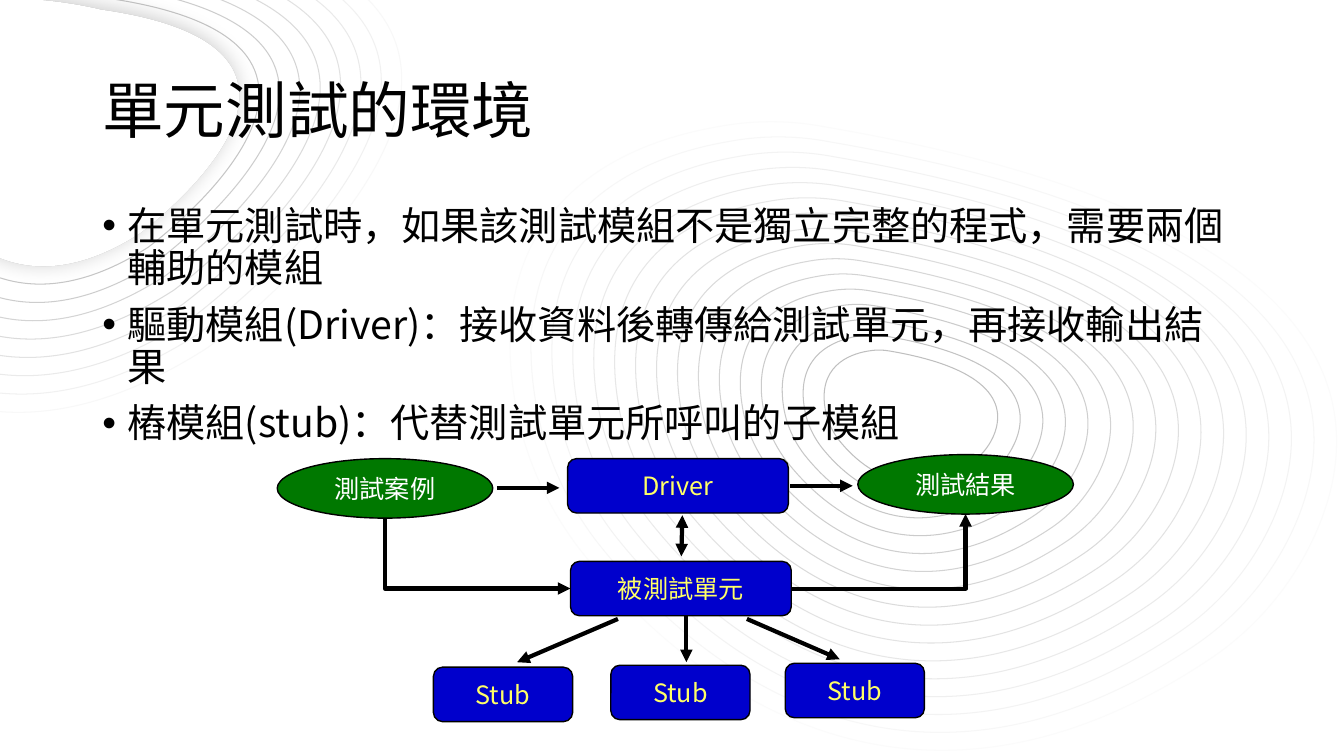
from dataclasses import dataclass

from lxml import etree
from pptx import Presentation
from pptx.dml.color import RGBColor
from pptx.enum.shapes import MSO_CONNECTOR, MSO_SHAPE
from pptx.enum.text import MSO_ANCHOR, PP_ALIGN
from pptx.oxml.ns import qn
from pptx.util import Pt

STRAIGHT, ELBOW = MSO_CONNECTOR.STRAIGHT, MSO_CONNECTOR.ELBOW
BOX, OVAL = MSO_SHAPE.ROUNDED_RECTANGLE, MSO_SHAPE.OVAL
MIDDLE, TOP = MSO_ANCHOR.MIDDLE, MSO_ANCHOR.TOP
CENTER = PP_ALIGN.CENTER
LEFT, RIGHT = 1, 3


@dataclass(frozen=True)
class Theme:
    font: str = "Noto Sans CJK SC"
    ink: str = "000000"
    paper: str = "FFFFFF"
    blue: str = "0000CC"
    green: str = "007800"
    yellow: str = "FFFF66"
    title: float = 44
    body: float = 28
    label: float = 18
    thin: float = 0.75
    edge: float = 1
    arrow: float = 3


THEME = Theme()
TITLE = "單元測試的環境"
POINTS = [
    "在單元測試時，如果該測試模組不是獨立完整的程式，需要兩個輔助的模組",
    "驅動模組(Driver)：接收資料後轉傳給測試單元，再接收輸出結果",
    "樁模組(stub)：代替測試單元所呼叫的子模組",
]

# Outermost contours: a start point, then three Bezier points per curve
CORNER_MID = (49.4, 80.9)
CORNER = [
    (93.6, -63.4), (93.6, -63.4), (-259.2, -154), (-192.2, 104.4),
    (-192.2, 104.4), (-100, 407.5), (148.3, 248.4),
    (148.3, 248.4), (494, -7), (93.6, -63.4),
]
FIELD_MID = (648.3, 293.4)
FIELD = [
    (511.9, 90.7), (445.7, 102.2), (339.8, 144.7), (369.4, 295.2),
    (376.6, 330.5), (392.4, 364.3), (414.7, 393.1),
    (478.1, 473), (637.2, 622.1), (864, 470.9),
    (896.4, 449.3), (922.3, 419), (938.9, 383),
    (977, 299.5), (975.6, 157), (589.7, 90.7),
    (563.8, 85.7), (537.8, 85.7), (511.9, 90.7),
]


def color(code):
    return RGBColor.from_string(code)


def add_node(parent, tag, **values):
    node = etree.SubElement(parent, qn(tag))
    for key, value in values.items():
        node.set(key, str(value))
    return node


def paint(shape, fill, line, width):
    shape.shadow.inherit = False
    if fill:
        shape.fill.solid()
        shape.fill.fore_color.rgb = color(fill)
    else:
        shape.fill.background()
    shape.line.color.rgb = color(line)
    shape.line.width = Pt(width)


def write(para, text, size, ink, **form):
    for key, value in form.items():
        setattr(para, key, value)
    run = para.add_run()
    run.text = text
    run.font.size = Pt(size)
    run.font.color.rgb = color(ink)
    run.font.name = THEME.font
    add_node(run.font._element, "a:ea", typeface=THEME.font)


# Contour lines
def curve(shape):
    """Turn each three line segments into one Bezier curve."""
    lines = list(shape._element.iter(qn("a:lnTo")))
    for i in range(0, len(lines), 3):
        first, *rest = lines[i:i + 3]
        first.tag = qn("a:cubicBezTo")
        for line in rest:
            first.append(line[0])
            line.getparent().remove(line)


def add_ring(slide, points, mid, scale, line, fill=None):
    start, *rest = [
        tuple(Pt(m + scale * (v - m)) for v, m in zip(p, mid)) for p in points
    ]
    pen = slide.shapes.build_freeform(*start)
    pen.add_line_segments(rest, close=True)
    ring = pen.convert_to_shape()
    curve(ring)
    paint(ring, fill, line, THEME.thin)
    return ring


def add_rings(slide, points, mid, least, count, step):
    for i in reversed(range(count)):
        scale = least + (1 - least) * i / (count - 1)
        gray = f"{round(191 + step * i):02X}" * 3
        add_ring(slide, points, mid, scale, gray)


def add_glow(shape):
    effects = shape._element.spPr.find(qn("a:effectLst"))
    glow = add_node(effects, "a:outerShdw", blurRad=Pt(15), dist=Pt(3),
                    dir=225 * 60000, algn="ctr", rotWithShape=0)
    tint = add_node(glow, "a:srgbClr", val=THEME.ink)
    add_node(tint, "a:alpha", val=20000)


# Text
def add_text(slide, lines, place, size, anchor, bullet=False):
    frame = slide.shapes.add_textbox(*map(Pt, place)).text_frame
    frame.word_wrap = True
    frame.vertical_anchor = anchor
    for i, line in enumerate(lines):
        para = frame.add_paragraph() if i else frame.paragraphs[0]
        if bullet:
            props = para._p.get_or_add_pPr()
            props.set("marL", str(Pt(18)))
            props.set("indent", str(Pt(-18)))
            add_node(props, "a:buFont", typeface="Arial")
            add_node(props, "a:buChar", char="•")
        write(para, line, size, THEME.ink, line_spacing=0.9,
              space_before=Pt(10 if i else 0))


# Diagram
def add_part(slide, kind, text, place, fill, ink):
    part = slide.shapes.add_shape(kind, *map(Pt, place))
    paint(part, fill, THEME.ink, THEME.edge)
    frame = part.text_frame
    form = {"word_wrap": False, "vertical_anchor": MIDDLE,
            "margin_left": Pt(11.5), "margin_right": Pt(11.5),
            "margin_top": Pt(5.8), "margin_bottom": Pt(5.8)}
    for key, value in form.items():
        setattr(frame, key, value)
    write(frame.paragraphs[0], text, THEME.label, ink, alignment=CENTER)
    return part


def add_arrow(slide, ends, tips=("a:tailEnd",), kind=STRAIGHT):
    arrow = slide.shapes.add_connector(kind, *map(Pt, ends))
    arrow.line.color.rgb = color(THEME.ink)
    arrow.line.width = Pt(THEME.arrow)
    props = arrow._element.spPr
    for tip in tips:
        add_node(props.find(qn("a:ln")), tip, type="triangle")
    add_node(props, "a:effectLst")
    return arrow


def add_bend(slide, unit, side, ends, tip):
    bend = add_arrow(slide, ends, (tip,), ELBOW)
    bend._element.spPr.find(qn("a:prstGeom")).set("prst", "bentConnector2")
    bend.begin_connect(unit, side)


def add_flow(slide):
    blue, green = (THEME.blue, THEME.yellow), (THEME.green, THEME.paper)
    unit = add_part(slide, BOX, "被測試單元", (407.5, 401, 157.7, 38.9), *blue)
    add_part(slide, BOX, "Driver", (405.4, 327.6, 157.7, 38.9), *blue)
    for i, left in enumerate((309.6, 436.3, 560.9)):
        add_part(slide, BOX, "Stub", (left, 476.6 - 1.4 * i, 99.4, 38.9), *blue)
    add_part(slide, OVAL, "測試案例", (198, 327.6, 154, 42.5), *green)
    add_part(slide, OVAL, "測試結果", (612.7, 324.7, 154, 42.5), *green)

    for ends in ((441.4, 442.1, 369.4, 473), (533.5, 442.1, 599.8, 470.9),
                 (490.3, 440, 490.3, 473), (355, 348.5, 399.6, 348.5),
                 (564.5, 347, 609.1, 347)):
        add_arrow(slide, ends)
    add_arrow(slide, (487.4, 368, 486.7, 397.4), ("a:headEnd", "a:tailEnd"))
    add_bend(slide, unit, LEFT, (407.5, 420.5, 275, 370.1), "a:headEnd")
    add_bend(slide, unit, RIGHT, (565.2, 420.5, 689.7, 367.2), "a:tailEnd")


def main():
    deck = Presentation()
    deck.slide_width, deck.slide_height = Pt(960), Pt(540)
    slide = deck.slides.add_slide(deck.slide_layouts[6])

    add_rings(slide, CORNER, CORNER_MID, 0.51, 9, 7.1)
    disc = add_ring(slide, CORNER, CORNER_MID, 0.51, THEME.paper, THEME.paper)
    add_glow(disc)
    add_rings(slide, FIELD, FIELD_MID, 0.21, 16, 4)

    add_text(slide, [TITLE], (66, 28.8, 828, 104.4), THEME.title, MIDDLE)
    add_text(slide, POINTS, (66, 144, 828, 342.7), THEME.body, TOP, bullet=True)
    add_flow(slide)
    deck.save("out.pptx")


if __name__ == "__main__":
    main()
